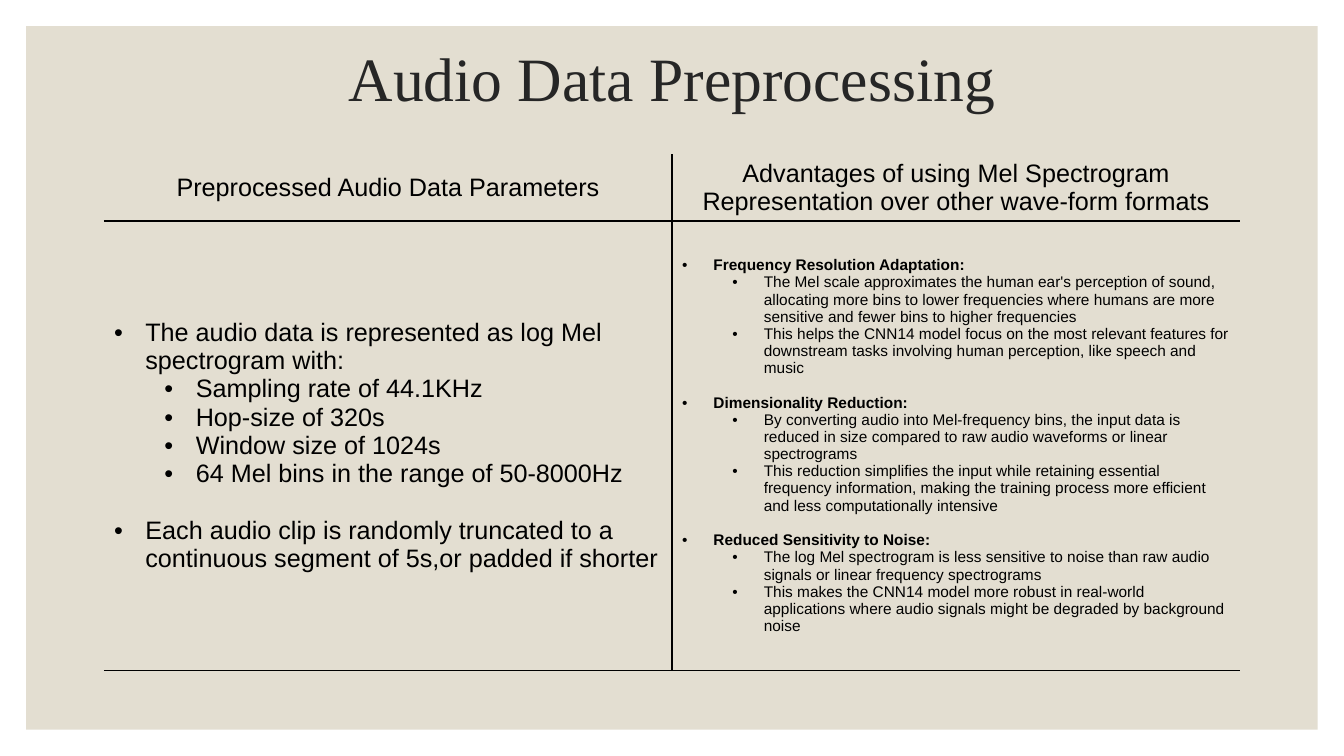
from dataclasses import dataclass

from lxml.etree import SubElement
from pptx import Presentation
from pptx.dml.color import RGBColor
from pptx.enum.shapes import MSO_SHAPE
from pptx.enum.text import MSO_ANCHOR, MSO_AUTO_SIZE, PP_ALIGN
from pptx.oxml import parse_xml
from pptx.oxml.ns import nsdecls, qn
from pptx.util import Cm, Pt


@dataclass(frozen=True)
class Theme:
    """Colours, fonts and type sizes of the slide."""
    panel: str = "E3DED1"
    title: str = "262626"
    ink: str = "000000"
    title_font: str = "Times New Roman"
    body_font: str = "Arial"
    title_size: int = 44
    body_size: int = 18
    detail_size: int = 11
    rule: int = 1


@dataclass(frozen=True)
class Box:
    """A rectangle in centimetres."""
    left: float
    top: float
    width: float
    height: float

    def lengths(self):
        """Return the four measures as lengths."""
        return Cm(self.left), Cm(self.top), Cm(self.width), Cm(self.height)


THEME = Theme()
SLIDE_WIDTH, SLIDE_HEIGHT, MARGIN = 33.87, 19.05, 0.66
HEADER_HEIGHT = 1.67
INDENT, LEVEL_STEP = 0.79, 1.27

TITLE = "Audio Data Preprocessing"
HEADINGS = [
    "Preprocessed Audio Data Parameters",
    "Advantages of using Mel Spectrogram Representation over other wave-form formats",
]
PARAMETERS = [
    ("The audio data is represented as log Mel spectrogram with:", [
        "Sampling rate of 44.1KHz",
        "Hop-size of 320s",
        "Window size of 1024s",
        "64 Mel bins in the range of 50-8000Hz",
    ]),
    ("Each audio clip is randomly truncated to a continuous segment of 5s,or padded if shorter", []),
]
ADVANTAGES = [
    ("Frequency Resolution Adaptation:", [
        "The Mel scale approximates the human ear's perception of sound, allocating more bins to "
        "lower frequencies where humans are more sensitive and fewer bins to higher frequencies",
        "This helps the CNN14 model focus on the most relevant features for downstream tasks "
        "involving human perception, like speech and music",
    ]),
    ("Dimensionality Reduction:", [
        "By converting audio into Mel-frequency bins, the input data is reduced in size compared "
        "to raw audio waveforms or linear spectrograms",
        "This reduction simplifies the input while retaining essential frequency information, "
        "making the training process more efficient and less computationally intensive",
    ]),
    ("Reduced Sensitivity to Noise:", [
        "The log Mel spectrogram is less sensitive to noise than raw audio signals or linear "
        "frequency spectrograms",
        "This makes the CNN14 model more robust in real-world applications where audio signals "
        "might be degraded by background noise",
    ]),
]


def add_run(paragraph, text, size, font=THEME.body_font, color=THEME.ink, bold=False):
    """Append a formatted run to a paragraph."""
    run = paragraph.add_run()
    run.text = text
    run.font.name = font
    run.font.size = Pt(size)
    run.font.bold = bold
    run.font.color.rgb = RGBColor.from_string(color)


def add_panel(slide, box):
    """Place the tinted panel behind everything else."""
    panel = slide.shapes.add_shape(MSO_SHAPE.RECTANGLE, *box.lengths())
    panel.shadow.inherit = False
    panel.fill.solid()
    panel.fill.fore_color.rgb = RGBColor.from_string(THEME.panel)
    panel.line.fill.background()
    panel.element.getparent().insert(2, panel.element)


def add_title(slide, box):
    """Move and format the title placeholder."""
    title = slide.shapes.title
    title.left, title.top, title.width, title.height = box.lengths()
    frame = title.text_frame
    frame.auto_size = MSO_AUTO_SIZE.NONE
    frame.vertical_anchor = MSO_ANCHOR.MIDDLE
    paragraph = frame.paragraphs[0]
    paragraph.alignment = PP_ALIGN.CENTER
    paragraph.line_spacing = 0.9
    add_run(paragraph, TITLE, THEME.title_size, THEME.title_font, THEME.title)


def set_borders(cell, visible_sides):
    """Draw the named cell sides and clear the others."""
    properties = cell._tc.get_or_add_tcPr()
    for index, side in enumerate("LRTB"):
        line = parse_xml(f'<a:ln{side} {nsdecls("a")} w="{Pt(THEME.rule)}"/>')
        if side in visible_sides:
            fill = SubElement(line, qn("a:solidFill"))
            SubElement(fill, qn("a:srgbClr"), val=THEME.ink)
        else:
            SubElement(line, qn("a:noFill"))
        properties.insert(index, line)


def format_bullet(paragraph, level):
    """Give a paragraph a hanging bullet at its level."""
    paragraph.level = level
    properties = paragraph._p.get_or_add_pPr()
    properties.set("marL", str(Cm(INDENT + level * LEVEL_STEP)))
    properties.set("indent", str(-Cm(INDENT)))
    SubElement(properties, qn("a:buFont"), typeface=THEME.body_font)
    SubElement(properties, qn("a:buChar"), char="•")


def fill_bullets(cell, groups, size, bold_heads):
    """Write bullet groups into a cell, one line apart."""
    frame = cell.text_frame
    paragraph = frame.paragraphs[0]
    for group_index, (head, details) in enumerate(groups):
        if group_index:
            paragraph = frame.add_paragraph()
            paragraph.space_before = Pt(round(size * 1.14, 1))
        format_bullet(paragraph, 0)
        add_run(paragraph, head, size, bold=bold_heads)
        for detail in details:
            paragraph = frame.add_paragraph()
            format_bullet(paragraph, 1)
            add_run(paragraph, detail, size)


def add_comparison(slide, box):
    """Build the two-column table of parameters and advantages."""
    table = slide.shapes.add_table(2, 2, *box.lengths()).table
    table.first_row = table.horz_banding = False
    table.rows[0].height = Cm(HEADER_HEIGHT)
    table.rows[1].height = Cm(box.height - HEADER_HEIGHT)
    for column in table.columns:
        column.width = Cm(box.width / 2)
    for cell in table.iter_cells():
        cell.fill.background()
        cell.vertical_anchor = MSO_ANCHOR.MIDDLE
    for column_index, heading in enumerate(HEADINGS):
        divider = "RL"[column_index]
        header = table.cell(0, column_index)
        set_borders(header, divider + "B")
        set_borders(table.cell(1, column_index), divider + "TB")
        paragraph = header.text_frame.paragraphs[0]
        paragraph.alignment = PP_ALIGN.CENTER
        add_run(paragraph, heading, THEME.body_size)
    fill_bullets(table.cell(1, 0), PARAMETERS, THEME.body_size, False)
    fill_bullets(table.cell(1, 1), ADVANTAGES, THEME.detail_size, True)


def main():
    """Build and save the presentation."""
    presentation = Presentation()
    presentation.slide_width = Cm(SLIDE_WIDTH)
    presentation.slide_height = Cm(SLIDE_HEIGHT)
    slide = presentation.slides.add_slide(presentation.slide_layouts[5])
    add_panel(slide, Box(MARGIN, MARGIN, SLIDE_WIDTH - 2 * MARGIN, SLIDE_HEIGHT - 2 * MARGIN))
    add_title(slide, Box(2.97, 0.81, 27.94, 2.51))
    add_comparison(slide, Box(2.62, 3.89, 28.63, 13))
    presentation.save("out.pptx")


if __name__ == "__main__":
    main()
